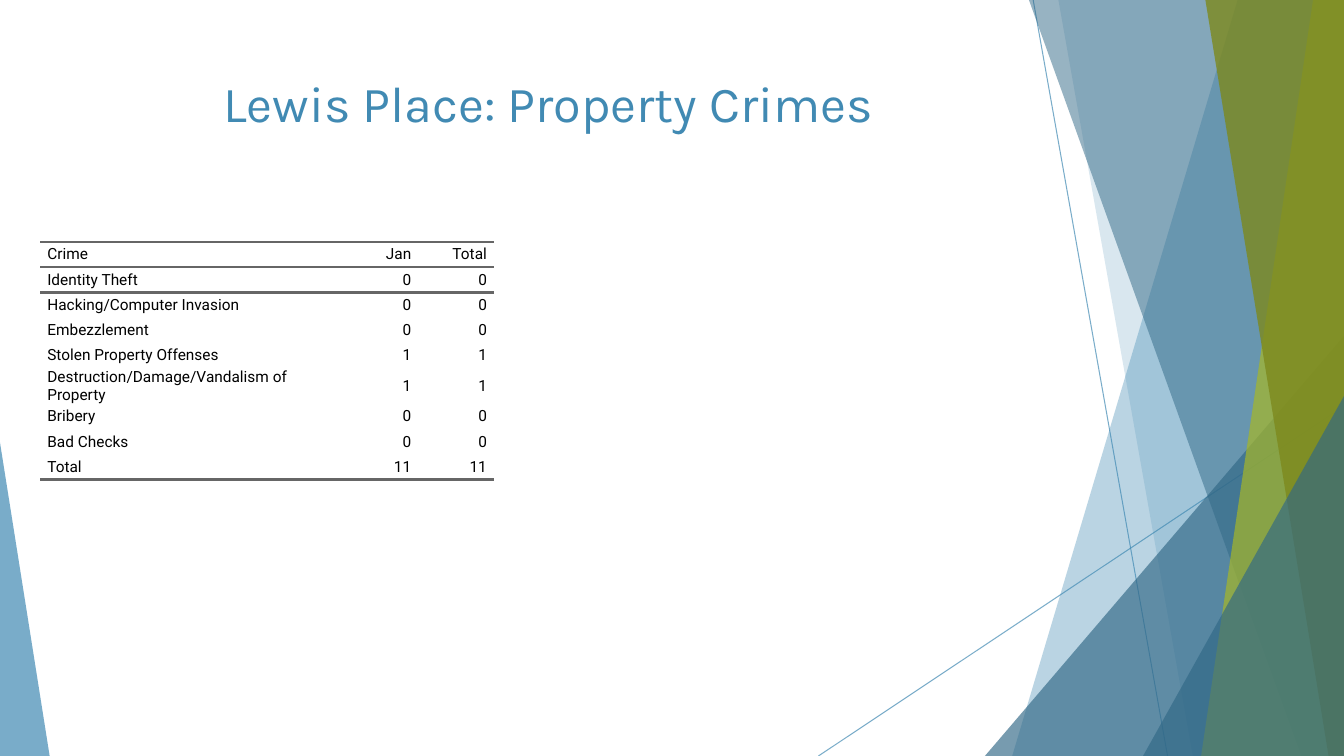
"""Build the Lewis Place property crimes slide."""
from pptx import Presentation
from pptx.dml.color import RGBColor as RGB
from pptx.enum.shapes import MSO_CONNECTOR as Link, MSO_SHAPE as Shape
from pptx.enum.text import MSO_ANCHOR as Anchor, PP_ALIGN as Align
from pptx.oxml.ns import qn
from pptx.oxml.xmlchemy import OxmlElement as Node
from pptx.util import Pt

HUES = {"blue": "418AB3", "navy": "316886", "lime": "A6B727",
        "olive": "7D891D", "rule": "666666", "ink": "000000"}
WIDE, HIGH = 960, 540


def hue(name):
    """Return a named colour."""
    return RGB.from_string(HUES[name])


def fade(item, pct):
    """Set the opacity of a shape's colour."""
    for tint in item._element.iter(qn("a:srgbClr")):
        alpha = Node("a:alpha")
        alpha.set("val", str(pct * 1000))
        tint.append(alpha)


prs = Presentation()
prs.slide_width, prs.slide_height = Pt(WIDE), Pt(HIGH)
slide = prs.slides.add_slide(prs.slide_layouts[5])
shapes = slide.shapes

for ends in [(738, 0, 834, HIGH), (WIDE, 290, 584.6, HIGH)]:
    line = shapes.add_connector(Link.STRAIGHT, *[Pt(n) for n in ends])
    line.line.color.rgb = hue("blue")
    line.line.width = Pt(0.75)
    line._element.spPr.append(Node("a:effectLst"))
    fade(line, 70)

# Bands give top and bottom x; triangles give left, top, width, height and apex.
facets = [
    ("blue", 36, (884, 723)),
    ("blue", 20, (756, 852)),
    ("navy", 66, (703.5, 240, 256.5, 300, 1)),
    ("navy", 50, (735, 929.5)),
    ("lime", 70, (938, 858)),
    ("olive", 80, (861, 949)),
    ("navy", 66, (816.5, 283, 143.5, 257, 1)),
    ("blue", 70, (0, 316, 35.5, 224, 0)),
]
for name, pct, geom in facets:
    if len(geom) == 2:
        top, base = geom
        pen = shapes.build_freeform(Pt(top), 0)
        pen.add_line_segments([(Pt(WIDE), 0), (Pt(WIDE), Pt(HIGH)), (Pt(base), Pt(HIGH))])
        facet = pen.convert_to_shape()
    else:
        *box, apex = geom
        facet = shapes.add_shape(Shape.ISOSCELES_TRIANGLE, *[Pt(n) for n in box])
        facet.adjustments[0] = apex
    facet.shadow.inherit = False
    facet.fill.solid()
    facet.fill.fore_color.rgb = hue(name)
    facet.line.fill.background()
    fade(facet, pct)

rows = [
    ("Crime", "Jan", "Total"),
    ("Identity Theft", "0", "0"),
    ("Hacking/Computer Invasion", "0", "0"),
    ("Embezzlement", "0", "0"),
    ("Stolen Property Offenses", "1", "1"),
    ("Destruction/Damage/Vandalism of Property", "1", "1"),
    ("Bribery", "0", "0"),
    ("Bad Checks", "0", "0"),
    ("Total", "11", "11"),
]
last = len(rows) - 1
rules = {0: ("a:lnT", "a:lnB"), 1: ("a:lnT",), last: ("a:lnB",)}
grid = shapes.add_table(len(rows), 3, Pt(28.8), Pt(172.8), Pt(324), Pt(18 * len(rows))).table
grid.first_row = grid.horz_banding = False
grid._tbl.tblPr.find(qn("a:tableStyleId")).text = "{2D5ABB26-0587-4C30-8999-92F81FD0307C}"
for col, width in zip(grid.columns, (216, 54, 54)):
    col.width = Pt(width)

for r, row in enumerate(rows):
    for c, text in enumerate(row):
        cell = grid.cell(r, c)
        cell.margin_left = cell.margin_right = cell.margin_top = cell.margin_bottom = 0
        cell.vertical_anchor = Anchor.MIDDLE
        for side in rules.get(r, ()):
            edge = Node(side)
            edge.set("w", str(Pt(2)))
            fill, tint = Node("a:solidFill"), Node("a:srgbClr")
            tint.set("val", HUES["rule"])
            fill.append(tint)
            edge.append(fill)
            cell._tc.get_or_add_tcPr().append(edge)
        cell.fill.background()
        cell.text = text
        para = cell.text_frame.paragraphs[0]
        para.alignment = Align.RIGHT if c else Align.LEFT
        for side in ("marL", "marR"):
            para._p.get_or_add_pPr().set(side, str(Pt(5)))
        font = para.runs[0].font
        font.name, font.size = "Roboto", Pt(11)
        font.color.rgb = hue("ink")

title = shapes.title
title.left, title.top, title.width, title.height = Pt(53.3), Pt(48), Pt(676.8), Pt(104)
frame = title.text_frame
frame.text = "Lewis Place: Property Crimes"
frame.vertical_anchor = Anchor.TOP
para = frame.paragraphs[0]
para.alignment = Align.CENTER
font = para.runs[0].font
font.name, font.size = "Karla", Pt(36)
font.color.rgb = hue("blue")

prs.save("out.pptx")
